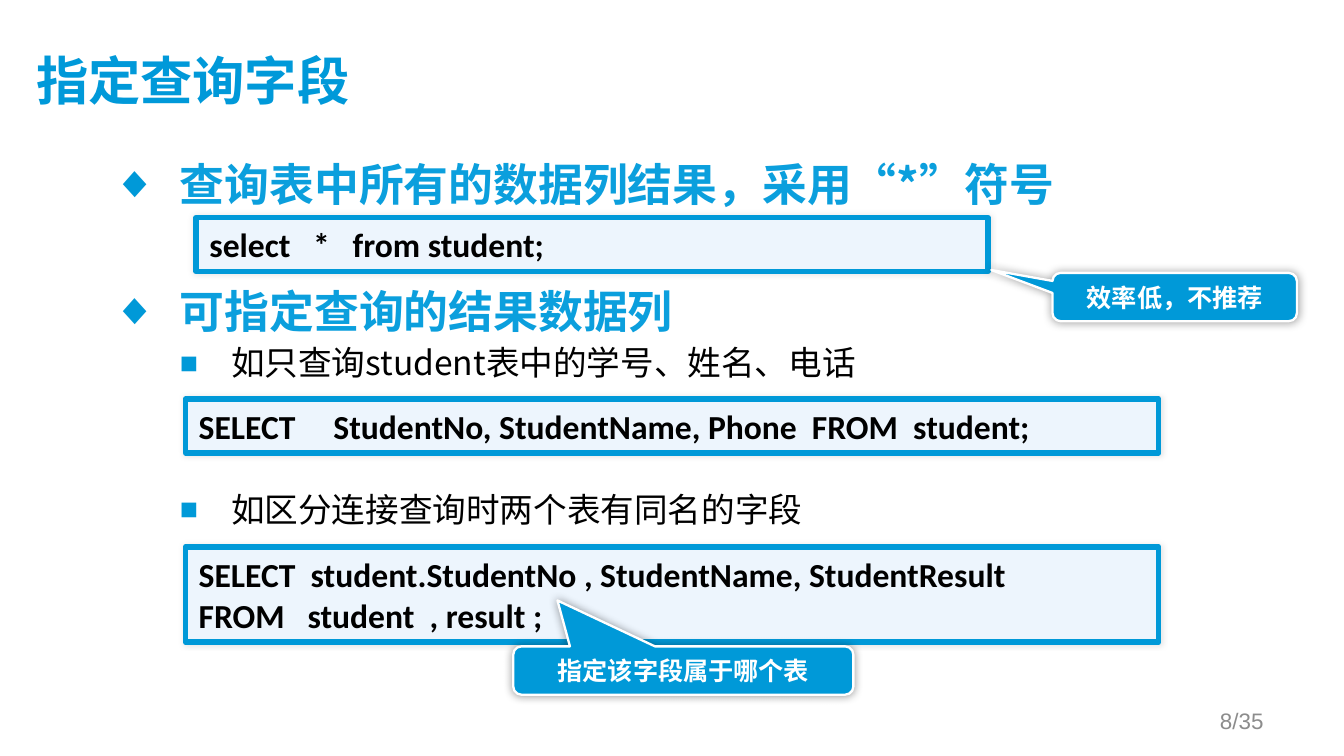
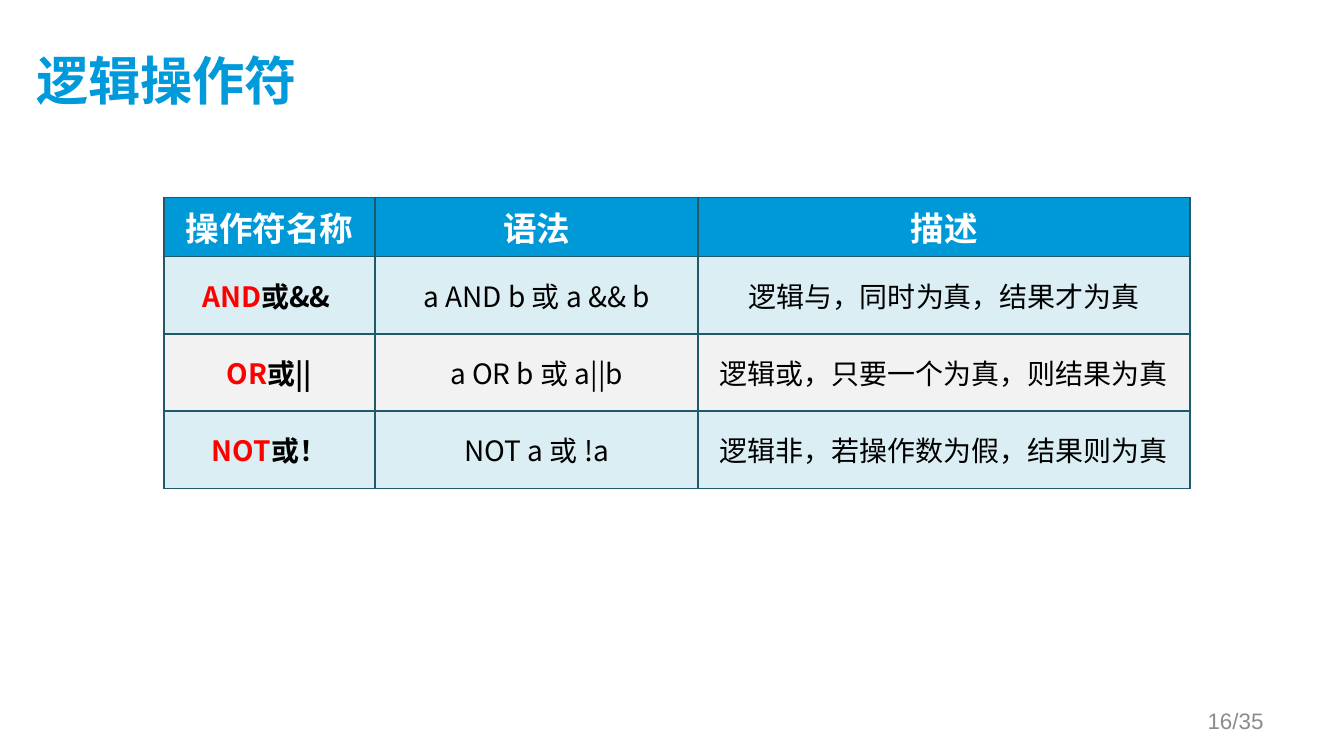
from lxml import etree
from pptx import Presentation
from pptx.dml.color import RGBColor
from pptx.enum.shapes import MSO_SHAPE
from pptx.enum.text import MSO_ANCHOR, PP_ALIGN
from pptx.oxml.ns import qn
from pptx.util import Pt

LEFT, CENTER, RIGHT = PP_ALIGN.LEFT, PP_ALIGN.CENTER, PP_ALIGN.RIGHT
TOP, MIDDLE = MSO_ANCHOR.TOP, MSO_ANCHOR.MIDDLE
ROUNDED, CALLOUT = MSO_SHAPE.ROUNDED_RECTANGLE, MSO_SHAPE.ROUNDED_RECTANGULAR_CALLOUT

BLUE = RGBColor(0x00, 0x99, 0xD8)
TITLE_BLUE = RGBColor(0x00, 0x99, 0xD9)
HEADING_BLUE = RGBColor(0x0B, 0x9F, 0xDD)
CODE_FILL = RGBColor(0xED, 0xF5, 0xFD)
ROW_BLUE = RGBColor(0xDB, 0xEE, 0xF4)
ROW_GRAY = RGBColor(0xF2, 0xF2, 0xF2)
GRID = RGBColor(0x21, 0x59, 0x68)
RED = RGBColor(0xFF, 0x00, 0x00)
GRAY = RGBColor(0x8C, 0x8C, 0x8C)
BLACK = RGBColor(0x00, 0x00, 0x00)
WHITE = RGBColor(0xFF, 0xFF, 0xFF)

CHINESE, LATIN, NUMBER = "Noto Sans CJK SC", "Calibri", "Arial"
PAGE_TOTAL = 35


def add_child(parent, tag, **attributes):
    child = etree.SubElement(parent, qn(tag))
    for name, value in attributes.items():
        child.set(name, str(value))
    return child


def add_text(para, text, size=18, font=CHINESE, color=BLACK, bold=False, align=LEFT):
    para.alignment = align
    span = para.add_run()
    span.text = text
    span.font.size = Pt(size)
    span.font.name = font
    span.font.bold = bold
    span.font.color.rgb = color
    add_child(span.font._element, "a:ea", typeface=CHINESE)


def set_bullet(para, symbol, margin, hanging, percent):
    properties = para._p.get_or_add_pPr()
    properties.set("marL", str(Pt(margin)))
    properties.set("indent", str(-Pt(hanging)))
    color = add_child(properties, "a:buClr")
    add_child(color, "a:srgbClr", val=BLUE)
    add_child(properties, "a:buSzPct", val=percent * 1000)
    add_child(properties, "a:buFont", typeface=NUMBER)
    add_child(properties, "a:buChar", char=symbol)


def set_borders(cell):
    properties = cell._tc.get_or_add_tcPr()
    for position, side in enumerate(("a:lnL", "a:lnR", "a:lnT", "a:lnB")):
        line = add_child(properties, side, w=Pt(1))
        add_child(add_child(line, "a:solidFill"), "a:srgbClr", val=GRID)
        properties.insert(position, line)


class SlideBuilder:
    def __init__(self):
        self.deck = Presentation()
        self.deck.slide_width = Pt(720)
        self.deck.slide_height = Pt(405)
        self.page = None

    def new_page(self, title, number):
        self.page = self.deck.slides.add_slide(self.deck.slide_layouts[6])
        frame = self.text_box(19.4, 16.6, 644.4, 55.4, MIDDLE)
        frame.margin_left = frame.margin_top = 0
        add_text(frame.paragraphs[0], title, size=28, color=TITLE_BLUE, bold=True)
        footer = self.text_box(516.2, 375.1, 167.8, 21.6, MIDDLE)
        add_text(footer.paragraphs[0], f"{number}/{PAGE_TOTAL}", size=12,
                 font=NUMBER, color=GRAY, align=RIGHT)

    def text_box(self, left, top, width, height, anchor):
        box = self.page.shapes.add_textbox(Pt(left), Pt(top), Pt(width), Pt(height))
        frame = box.text_frame
        frame.word_wrap = True
        frame.vertical_anchor = anchor
        return frame

    def panel(self, kind, bounds, adjustments, fill, line, line_width, shadow):
        box = self.page.shapes.add_shape(kind, *(Pt(value) for value in bounds))
        for index, value in enumerate(adjustments):
            box.adjustments[index] = value
        box.fill.solid()
        box.fill.fore_color.rgb = fill
        box.line.color.rgb = line
        box.line.width = Pt(line_width)
        box.shadow.inherit = False
        blur, opacity = shadow
        effects = box._element.spPr.find(qn("a:effectLst"))
        outer = add_child(effects, "a:outerShdw", blurRad=Pt(blur), dist=0, dir=0,
                          algn="ctr", rotWithShape=0)
        color = add_child(outer, "a:srgbClr", val=BLACK)
        add_child(color, "a:alpha", val=opacity * 1000)
        frame = box.text_frame
        frame.word_wrap = True
        frame.vertical_anchor = MIDDLE
        return frame

    def code(self, lines, left, top, width, height):
        frame = self.panel(ROUNDED, (left, top, width, height), [0],
                           CODE_FILL, BLUE, 3, (3, 10))
        for index, line in enumerate(lines):
            para = frame.add_paragraph() if index else frame.paragraphs[0]
            add_text(para, line, font=LATIN, bold=True)

    def callout(self, text, left, top, width, tip):
        frame = self.panel(CALLOUT, (left, top, width, 25.9), [*tip, 0.17],
                           BLUE, WHITE, 1.25, (5, 40))
        add_text(frame.paragraphs[0], text, size=13.5, font=LATIN,
                 color=WHITE, bold=True, align=CENTER)

    def bullets(self, items, left, top, width, height):
        frame = self.text_box(left, top, width, height, TOP)
        for index, (text, is_heading, gap) in enumerate(items):
            para = frame.add_paragraph() if index else frame.paragraphs[0]
            para.space_before = Pt(gap)
            if is_heading:
                set_bullet(para, "◆", 36, 36, 100)
                add_text(para, text, size=24, color=HEADING_BLUE, bold=True)
            else:
                set_bullet(para, "■", 63.4, 27.4, 90)
                add_text(para, text)

    def table(self, header, rows, left, top, widths, heights):
        grid = self.page.shapes.add_table(
            len(heights), len(widths), Pt(left), Pt(top),
            Pt(sum(widths)), Pt(sum(heights))).table
        for column, width in zip(grid.columns, widths):
            column.width = Pt(width)
        for row, height in zip(grid.rows, heights):
            row.height = Pt(height)
        for column, text in enumerate(header):
            para = self.cell(grid.cell(0, column), BLUE)
            add_text(para, text, color=WHITE, bold=True, align=CENTER)
        for number, (keyword, symbol, *details) in enumerate(rows, 1):
            fill = ROW_BLUE if number % 2 else ROW_GRAY
            para = self.cell(grid.cell(number, 0), fill)
            add_text(para, keyword, size=15, color=RED, bold=True, align=CENTER)
            add_text(para, symbol, size=15, bold=True, align=CENTER)
            for column, text in enumerate(details, 1):
                para = self.cell(grid.cell(number, column), fill)
                add_text(para, text, size=15, align=CENTER)

    def cell(self, cell, fill):
        cell.fill.solid()
        cell.fill.fore_color.rgb = fill
        cell.vertical_anchor = MIDDLE
        cell.margin_left = cell.margin_right = Pt(5.8)
        cell.margin_top = cell.margin_bottom = Pt(2.9)
        set_borders(cell)
        return cell.text_frame.paragraphs[0]


def build_query_fields(slides):
    slides.new_page("指定查询字段", 8)
    slides.code(["select   *   from student;"], 105.1, 116.6, 424.1, 28.8)
    slides.code(["SELECT     StudentNo, StudentName, Phone  FROM  student;"],
                99.4, 213.8, 521.3, 28.8)
    slides.code(["SELECT  student.StudentNo , StudentName, StudentResult",
                 "FROM   student  , result ;"], 99.4, 293, 521.3, 51.1)
    slides.bullets([
        ("查询表中所有的数据列结果，采用“*”符号", True, 0),
        ("可指定查询的结果数据列", True, 39.1),
        ("如只查询student表中的学号、姓名、电话", False, 2.6),
        ("如区分连接查询时两个表有同名的字段", False, 56.7),
    ], 53.3, 80.6, 611.3, 267.1)
    slides.callout("指定该字段属于哪个表", 275, 346.3, 182.2, (-0.37, -1.45))
    slides.callout("效率低，不推荐", 563.8, 146.2, 131, (-0.75, -0.56))


def build_logical_operators(slides):
    slides.new_page("逻辑操作符", 16)
    slides.table(
        ["操作符名称", "语法", "描述"],
        [("AND", "或&& ", "a AND b 或 a && b", "逻辑与，同时为真，结果才为真"),
         ("OR", "或||", "a OR b 或 a||b", "逻辑或，只要一个为真，则结果为真"),
         ("NOT", "或！", "NOT a 或 !a", "逻辑非，若操作数为假，结果则为真")],
        87.8, 105.8, [113.2, 173, 263.5], [31.7, 41.4, 41.4, 41.4])


def main():
    slides = SlideBuilder()
    build_query_fields(slides)
    build_logical_operators(slides)
    slides.deck.save("out.pptx")


if __name__ == "__main__":
    main()
